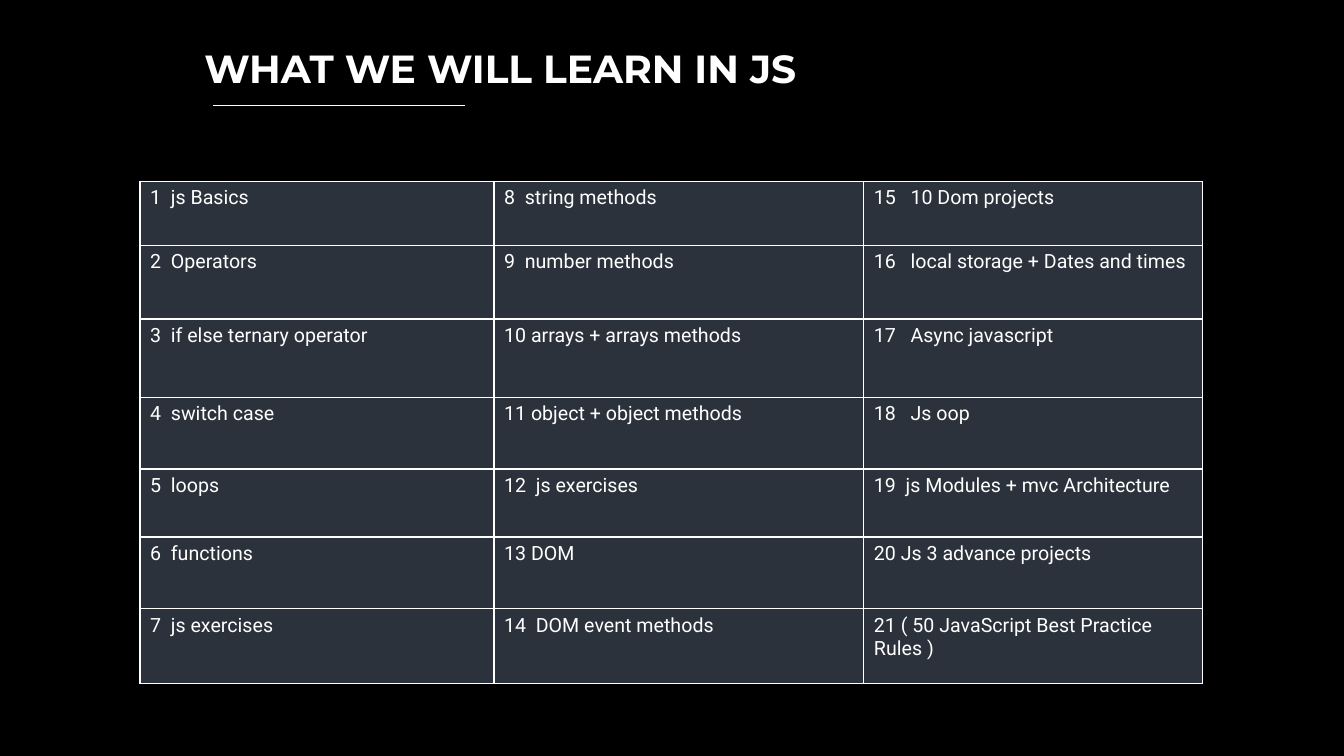
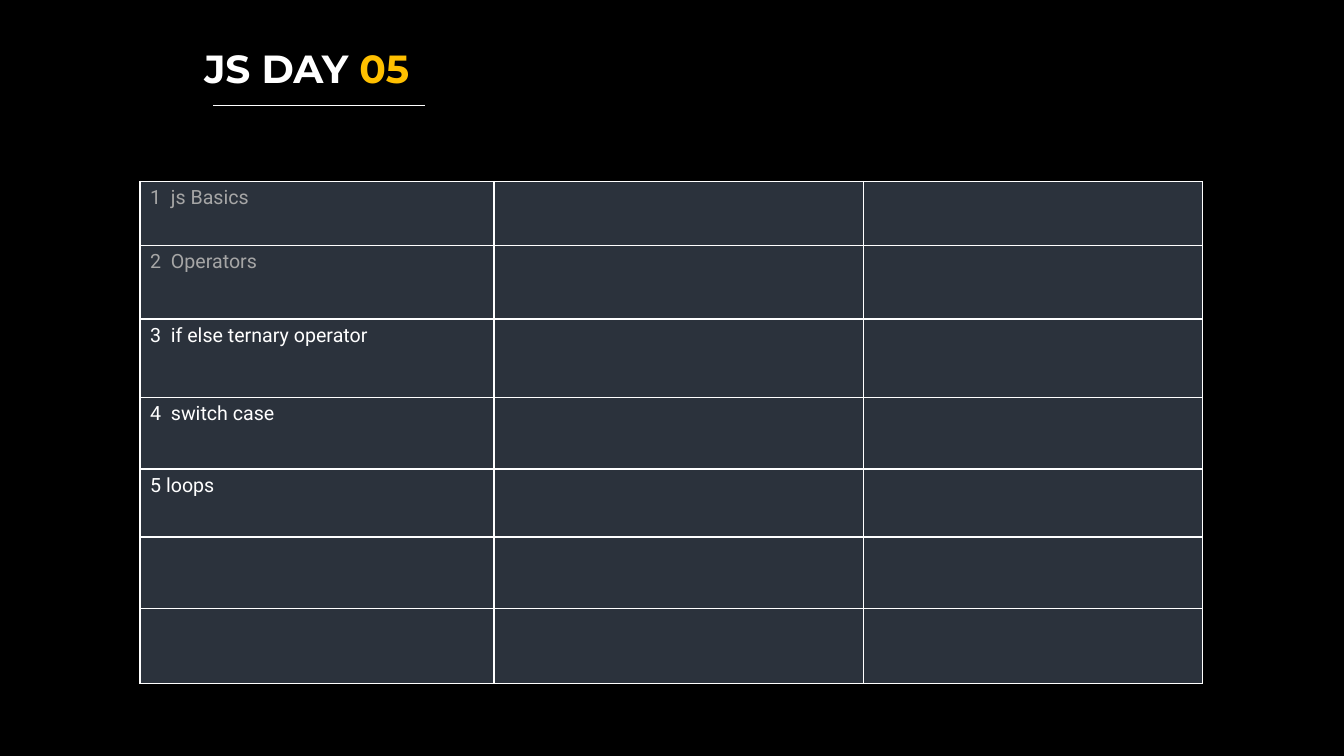
from dataclasses import dataclass
from itertools import product

from lxml.etree import SubElement
from pptx import Presentation
from pptx.dml.color import RGBColor
from pptx.enum.shapes import MSO_CONNECTOR
from pptx.enum.text import MSO_AUTO_SIZE
from pptx.oxml.ns import qn
from pptx.util import Cm, Pt


@dataclass(frozen=True)
class Theme:
    """Colours, fonts and type sizes shared by all slides."""

    backdrop: RGBColor = RGBColor(0x00, 0x00, 0x00)
    light: RGBColor = RGBColor(0xFF, 0xFF, 0xFF)
    muted: RGBColor = RGBColor(0xA6, 0xA6, 0xA6)
    accent: RGBColor = RGBColor(0xFF, 0xC0, 0x00)
    panel: RGBColor = RGBColor(0x2B, 0x32, 0x3C)
    title_font: str = "Montserrat"
    body_font: str = "Roboto"
    title_size: Pt = Pt(28)
    body_size: Pt = Pt(14)
    rule_width: Pt = Pt(0.75)
    border_width: Pt = Pt(1)


THEME = Theme()
COLUMN_WIDTHS = (8.92, 9.32, 8.53)
ROW_HEIGHTS = (1.61, 1.86, 1.97, 1.81, 1.71, 1.81, 1.89)
COURSE_COLUMNS = (
    ("1  js Basics", "2  Operators", "3  if else ternary operator",
     "4  switch case", "5  loops", "6  functions", "7  js exercises"),
    ("8  string methods", "9  number methods", "10 arrays + arrays methods",
     "11 object + object methods", "12  js exercises", "13 DOM",
     "14  DOM event methods"),
    ("15   10 Dom projects", "16   local storage + Dates and times",
     "17   Async javascript", "18   Js oop",
     "19  js Modules + mvc Architecture", "20 Js 3 advance projects",
     "21 ( 50 JavaScript Best Practice Rules )"),
)
DAY_TOPICS = COURSE_COLUMNS[0][:4] + ("5 loops",)
FINISHED_TOPICS = DAY_TOPICS[:2]


def add_title(page, *parts):
    """Add the title from (text, colour) parts."""
    box = page.shapes.add_textbox(Cm(4.9), Cm(0.99), Cm(28.73), Cm(1.45))
    frame = box.text_frame
    frame.word_wrap = True
    frame.auto_size = MSO_AUTO_SIZE.SHAPE_TO_FIT_TEXT
    para = frame.paragraphs[0]
    para.font.name = THEME.title_font
    para.font.size = THEME.title_size
    para.font.bold = True
    for text, colour in parts:
        span = para.add_run()
        span.text = text
        span.font.color.rgb = colour


def add_title_rule(page, length):
    """Add the thin line under the title."""
    left, top = Cm(5.38), Cm(2.67)
    rule = page.shapes.add_connector(
        MSO_CONNECTOR.STRAIGHT, left, top, left + length, top)
    rule.line.color.rgb = THEME.light
    rule.line.width = THEME.rule_width
    SubElement(rule._element.spPr, qn("a:effectLst"))


def add_borders(cell):
    """Draw a line along all four sides of a cell."""
    properties = cell._tc.get_or_add_tcPr()
    for side in ("lnL", "lnR", "lnT", "lnB"):
        line = SubElement(properties, qn(f"a:{side}"), w=str(THEME.border_width))
        fill = SubElement(line, qn("a:solidFill"))
        SubElement(fill, qn("a:srgbClr"), val=str(THEME.light))


def style_cell(cell, text, colour):
    """Give a cell its borders, fill and text."""
    add_borders(cell)
    cell.fill.solid()
    cell.fill.fore_color.rgb = THEME.panel
    para = cell.text_frame.paragraphs[0]
    para.font.name = THEME.body_font
    para.font.size = THEME.body_size
    para.font.color.rgb = colour
    if text:
        para.add_run().text = text


def add_topic_table(page, columns, finished=()):
    """Add the topic grid, filled column by column, with finished topics muted."""
    table = page.shapes.add_table(
        len(ROW_HEIGHTS), len(COLUMN_WIDTHS), Cm(3.53), Cm(4.57),
        Cm(sum(COLUMN_WIDTHS)), Cm(sum(ROW_HEIGHTS))).table
    for column, width in zip(table.columns, COLUMN_WIDTHS):
        column.width = Cm(width)
    for row, height in zip(table.rows, ROW_HEIGHTS):
        row.height = Cm(height)
    topics = {(row, column): text
              for column, texts in enumerate(columns)
              for row, text in enumerate(texts)}
    for position in product(range(len(ROW_HEIGHTS)), range(len(COLUMN_WIDTHS))):
        text = topics.get(position, "")
        colour = THEME.muted if text in finished else THEME.light
        style_cell(table.cell(*position), text, colour)


def add_page(deck):
    """Add a slide on the blank layout."""
    return deck.slides.add_slide(deck.slide_layouts[6])


def add_course_page(deck):
    """Add the overview of all course topics."""
    page = add_page(deck)
    add_title(page, ("WHAT WE WILL LEARN IN JS", THEME.light))
    add_topic_table(page, COURSE_COLUMNS)
    add_title_rule(page, Cm(6.35))


def add_day_page(deck):
    """Add the topics of the fifth day."""
    page = add_page(deck)
    add_title(page, ("JS DAY ", THEME.light), ("05", THEME.accent))
    add_title_rule(page, Cm(5.33))
    add_topic_table(page, (DAY_TOPICS,), FINISHED_TOPICS)


def main():
    """Build and save the deck."""
    deck = Presentation()
    deck.slide_width, deck.slide_height = Cm(33.87), Cm(19.05)
    backdrop = deck.slide_master.background.fill
    backdrop.solid()
    backdrop.fore_color.rgb = THEME.backdrop
    add_course_page(deck)
    add_day_page(deck)
    deck.save("out.pptx")


main()
